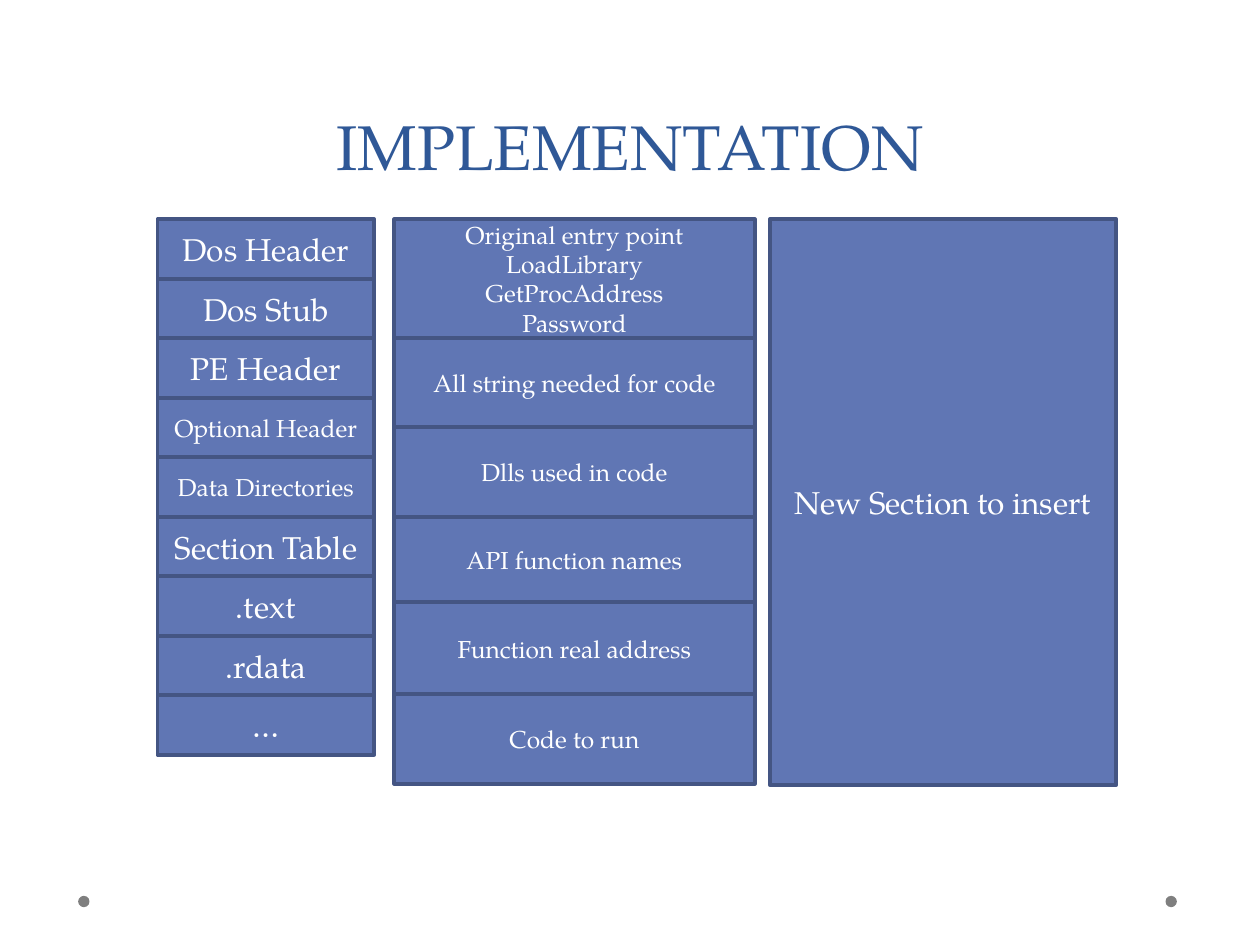
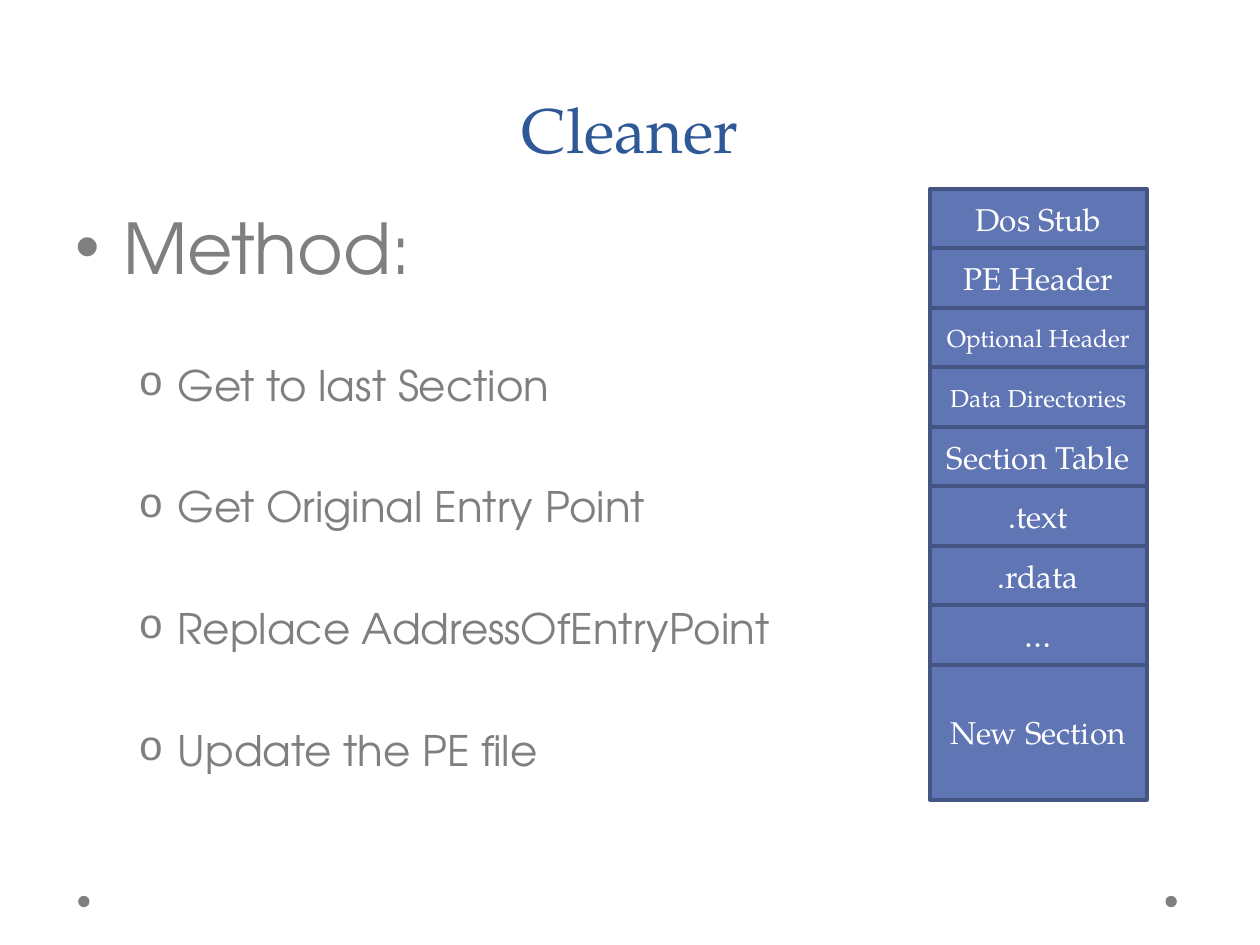
from lxml import etree
from pptx import Presentation
from pptx import util as u
from pptx.dml.color import RGBColor
from pptx.enum import shapes, text
from pptx.oxml import ns

SERIF, SANS = "TeX Gyre Pagella", "TeX Gyre Adventor"
BLUE, EDGE, NAVY, GRAY, WHITE = "6076B4", "445583", "2F5897", "7F7F7F", "FFFFFF"
RECT = shapes.MSO_SHAPE.RECTANGLE
PROCESS = shapes.MSO_SHAPE.FLOWCHART_PROCESS
ROW = 4.25 / 9
PART_WIDTH = 1.72
LARGE, SMALL = 18, 14

FILE_PARTS = [
    ("Dos Header", LARGE),
    ("Dos Stub", LARGE),
    ("PE Header", LARGE),
    ("Optional Header", SMALL),
    ("Data Directories", SMALL),
    ("Section Table", LARGE),
    (".text", LARGE),
    (".rdata", LARGE),
    ("…", LARGE),
]
SECTION_PARTS = [
    ("Original entry point\nLoadLibrary\nGetProcAddress\nPassword", 0.94),
    ("All string needed for code", 0.71),
    ("Dlls used in code", 0.71),
    ("API function names", 0.68),
    ("Function real address", 0.73),
    ("Code to run", 0.71),
]
STEPS = [
    "Get to last Section",
    "Get Original Entry Point",
    "Replace AddressOfEntryPoint",
    "Update the PE file",
]


def color(value):
    return RGBColor.from_string(value)


def set_values(target, values):
    for name, value in values.items():
        setattr(target, name, value)


def style_font(font, name, size, shade):
    set_values(font, {"name": name, "size": u.Pt(size), "bold": False})
    font.color.rgb = color(shade)


def place(*lengths):
    return [u.Inches(length) for length in lengths]


def add_title(page, wording, top, height):
    title = page.shapes.title
    left, top, width, height = place(0.5, top, 9, height)
    set_values(title, {"left": left, "top": top, "width": width, "height": height})
    frame = title.text_frame
    frame.text = wording
    set_values(frame, {"vertical_anchor": text.MSO_ANCHOR.BOTTOM,
                       "auto_size": text.MSO_AUTO_SIZE.NONE, "word_wrap": True})
    para = frame.paragraphs[0]
    set_values(para, {"alignment": text.PP_ALIGN.CENTER, "line_spacing": u.Pt(58)})
    style_font(para.runs[0].font, SERIF, 36, NAVY)


def add_footer_dots(page):
    for left in (0.62, 9.25):
        dot = page.shapes.add_shape(shapes.MSO_SHAPE.OVAL, *place(left, 7.11, 0.09, 0.09))
        dot.shadow.inherit = False
        dot.fill.solid()
        dot.fill.fore_color.rgb = color(GRAY)
        dot.line.fill.background()


def add_page(deck, wording, title_top, title_height):
    """Add a title-only slide with its title and footer dots."""
    page = deck.slides.add_slide(deck.slide_layouts[5])
    add_footer_dots(page)
    add_title(page, wording, title_top, title_height)
    return page


def add_block(page, wording, size, left, top, width, height, kind=RECT):
    box = page.shapes.add_shape(kind, *place(left, top, width, height))
    box.shadow.inherit = False
    box.fill.solid()
    box.fill.fore_color.rgb = color(BLUE)
    box.line.color.rgb = color(EDGE)
    box.line.width = u.Pt(2.25)
    frame = box.text_frame
    frame.text = wording
    set_values(frame, {"vertical_anchor": text.MSO_ANCHOR.MIDDLE, "word_wrap": True})
    for para in frame.paragraphs:
        para.alignment = text.PP_ALIGN.CENTER
        style_font(para.runs[0].font, SERIF, size, WHITE)


def add_file_stack(page, parts, left, top):
    """Stack the file parts in equal rows and return the bottom edge."""
    for index, (wording, size) in enumerate(parts):
        add_block(page, wording, size, left, top + index * ROW, PART_WIDTH, ROW)
    return top + len(parts) * ROW


def add_section_stack(page, left, top, width):
    for wording, height in SECTION_PARTS:
        add_block(page, wording, SMALL, left, top, width, height)
        top += height


def set_bullet(para, char, font_name, margin, hang):
    props = para._p.get_or_add_pPr()
    props.set("marL", str(u.Inches(margin)))
    props.set("indent", str(-u.Inches(hang)))
    shade = etree.SubElement(props, ns.qn("a:buClr"))
    etree.SubElement(shade, ns.qn("a:srgbClr"), val=GRAY)
    etree.SubElement(props, ns.qn("a:buFont"), typeface=font_name)
    etree.SubElement(props, ns.qn("a:buChar"), char=char)


def add_bullet(para, wording, size, space, level, bullet):
    set_values(para, {"level": level, "space_before": u.Pt(space)})
    set_bullet(para, *bullet)
    span = para.add_run()
    span.text = wording
    style_font(span.font, SANS, size, GRAY)


def add_method(page):
    box = page.shapes.add_textbox(*place(0.5, 1.57, 9, 4.95))
    frame = box.text_frame
    frame.word_wrap = True
    add_bullet(frame.paragraphs[0], "Method:", 40, 10, 0, ("•", "Arial", 0.38, 0.38))
    for step in STEPS:
        add_bullet(frame.add_paragraph(), step, 24, 40.7, 1,
                   ("o", "Courier New", 0.81, 0.31))


def build_implementation(deck):
    page = add_page(deck, "IMPLEMENTATION", 0.27, 1.23)
    top = 1.74
    add_file_stack(page, FILE_PARTS, 1.25, top)
    add_block(page, "New Section to insert", LARGE, 6.11, top, 2.75, 4.49)
    add_section_stack(page, 3.13, top, 2.86)


def build_cleaner(deck):
    page = add_page(deck, "Cleaner", 0.37, 1)
    add_method(page)
    left = 7.38
    bottom = add_file_stack(page, FILE_PARTS[1:], left, 1.5)
    add_block(page, "New Section", LARGE, left, bottom, PART_WIDTH, 1.07, PROCESS)


def main():
    deck = Presentation()
    deck.slide_width, deck.slide_height = place(10, 7.5)
    build_implementation(deck)
    build_cleaner(deck)
    deck.save("out.pptx")


if __name__ == "__main__":
    main()
